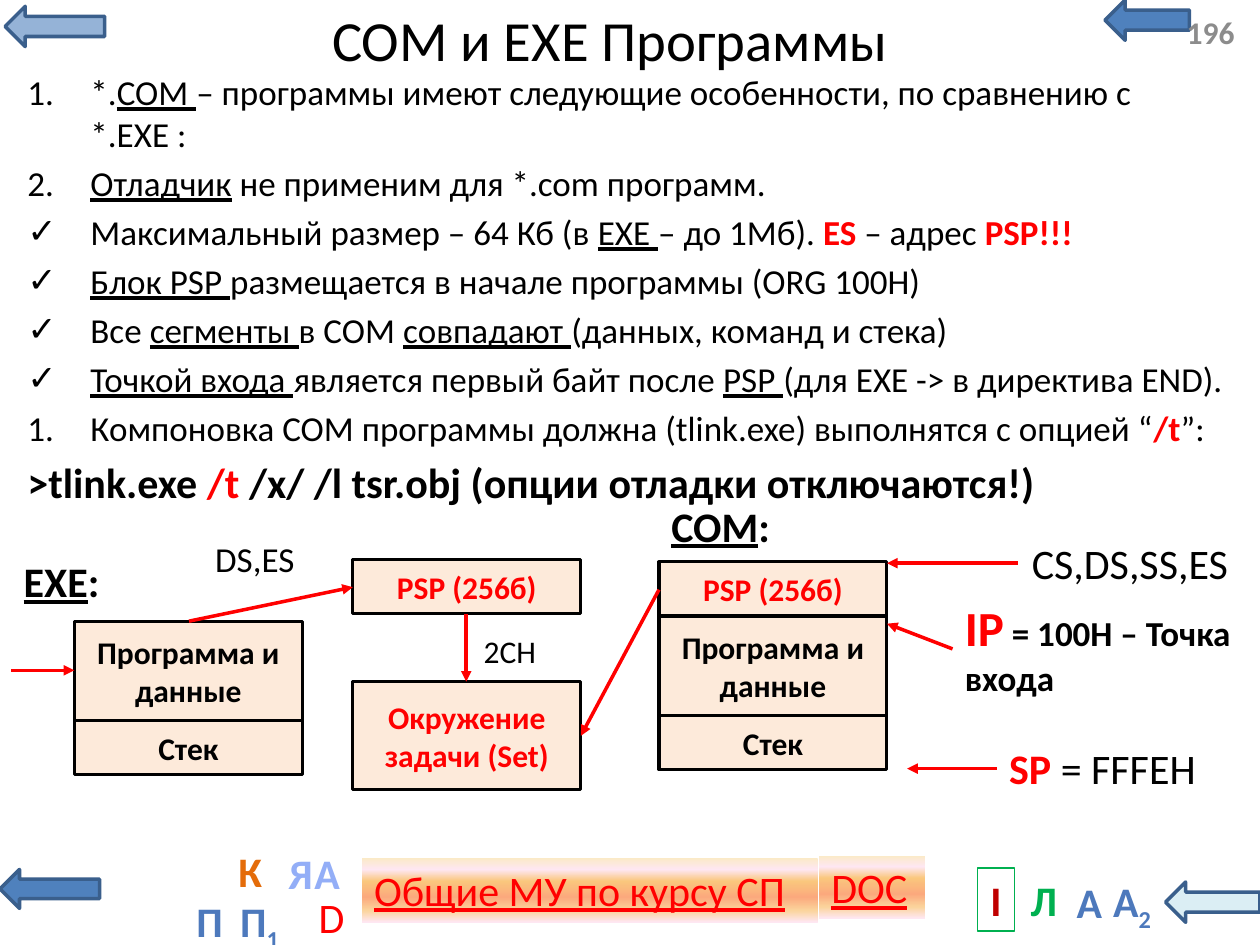
from lxml.etree import SubElement
from pptx import Presentation
from pptx.dml.color import RGBColor
from pptx.enum.shapes import MSO_CONNECTOR, MSO_SHAPE
from pptx.enum.text import MSO_ANCHOR, MSO_AUTO_SIZE, PP_ALIGN
from pptx.oxml.ns import qn
from pptx.util import Inches, Pt

BLACK, RED, PEACH, BLUE, GREEN = "000000", "FF0000", "FDEADA", "4F81BD", "00B050"
SUNRISE = [(0, "FBEAC7"), (18, "FEE7F2"), (36, "FAC77D"), (61, "FBA97D"), (82, "FBD49C"), (100, "FEE7F2")]
STEEL = [(0, "7494C9"), (49, "4D79BC"), (50, "346AAA"), (92, "325F94"), (100, "315D91")]
COLUMNS, ROWS = 100, 75


def color(value):
    return RGBColor.from_string(value)


def add(parent, tag, **attributes):
    return SubElement(parent, qn(f"a:{tag}"), {name: str(value) for name, value in attributes.items()})


def paint(fill, owner, value):
    if value is None:
        fill.background()
    elif isinstance(value, str):
        fill.solid()
        fill.fore_color.rgb = color(value)
    else:
        fill.gradient()
        fill.gradient_angle = 270
        stops = owner.find(f".//{qn('a:gsLst')}")
        for stop in list(stops):
            stops.remove(stop)
        for position, shade in value:
            add(add(stops, "gs", pos=position * 1000), "srgbClr", val=shade)


class SlideBuilder:
    font = "Calibri"

    def __init__(self, deck):
        self.deck = deck
        self.page = deck.slides.add_slide(deck.slide_layouts[5])

    def x(self, columns):
        return round(self.deck.slide_width * columns / COLUMNS)

    def y(self, rows):
        return round(self.deck.slide_height * rows / ROWS)

    def place(self, area):
        left, top, width, height = area
        return self.x(left), self.y(top), self.x(width), self.y(height)

    def add_spans(self, para, spans, size, tint=BLACK):
        for text, marks, *own_size in spans:
            span = para.add_run()
            span.text = text
            span.font.name = self.font
            span.font.size = Pt(own_size[0] if own_size else size)
            span.font.bold = "b" in marks
            span.font.underline = "u" in marks
            properties = span._r.get_or_add_rPr()
            paint(span.font.fill, properties, RED if "r" in marks else tint)
            if "s" in marks:
                properties.set("baseline", "-25000")

    def fill_frame(self, box, spans, size, tint=BLACK, align=PP_ALIGN.LEFT,
                   anchor=MSO_ANCHOR.TOP, wrap=True, grow=False):
        frame = box.text_frame
        frame.word_wrap = wrap
        frame.vertical_anchor = anchor
        frame.auto_size = MSO_AUTO_SIZE.SHAPE_TO_FIT_TEXT if grow else MSO_AUTO_SIZE.NONE
        para = frame.paragraphs[0]
        para.alignment = align
        self.add_spans(para, spans, size, tint)
        return box

    def title(self, area, text, size):
        box = self.page.shapes.title
        box.left, box.top, box.width, box.height = self.place(area)
        self.fill_frame(box, [(text, "")], size, align=PP_ALIGN.CENTER, anchor=MSO_ANCHOR.MIDDLE)

    def label(self, area, spans, size, grow=True, **style):
        box = self.page.shapes.add_textbox(*self.place(area))
        return self.fill_frame(box, spans, size, grow=grow, **style)

    def shape(self, kind, area, fill=None, line=None, weight=1.75):
        box = self.page.shapes.add_shape(kind, *self.place(area))
        box.shadow.inherit = False
        paint(box.fill, box._element.spPr, fill)
        if line:
            box.line.color.rgb = color(line)
            box.line.width = Pt(weight)
        else:
            box.line.fill.background()
        return box

    def arrow_button(self, area, fill):
        self.shape(MSO_SHAPE.LEFT_ARROW, area, fill, "3A5F8C", 2)

    def framed_label(self, area, spans, fill=None, line=None, **style):
        box = self.shape(MSO_SHAPE.RECTANGLE, area, fill, line, 0.75)
        return self.fill_frame(box, spans, 24, grow=True, **style)

    def stack(self, left, top, blocks):
        for text, marks, height in blocks:
            box = self.shape(MSO_SHAPE.RECTANGLE, (left, top, 18.1, height), PEACH, BLACK)
            self.fill_frame(box, [(text, marks)], 18, align=PP_ALIGN.CENTER, anchor=MSO_ANCHOR.MIDDLE)
            top += height

    def pointer(self, tip, tail):
        connector = self.page.shapes.add_connector(
            MSO_CONNECTOR.STRAIGHT, self.x(tip[0]), self.y(tip[1]), self.x(tail[0]), self.y(tail[1]))
        connector.line.color.rgb = color(RED)
        connector.line.width = Pt(2)
        properties = connector._element.spPr
        add(properties.find(qn("a:ln")), "headEnd", type="triangle")
        add(properties, "effectLst")

    def outline(self, box, tint, weight, alpha=None):
        properties = box.text_frame.paragraphs[0].runs[0]._r.get_or_add_rPr()
        line = add(properties, "ln", w=round(Pt(weight)))
        add(add(line, "solidFill"), "srgbClr", val=tint)
        properties.insert(0, line)
        if alpha:
            add(properties.find(f"{qn('a:solidFill')}/{qn('a:srgbClr')}"), "alpha", val=alpha * 1000)
            properties.set("spc", "100")

    def features(self, area, items):
        frame = self.page.shapes.add_textbox(*self.place(area)).text_frame
        frame.word_wrap = True
        for index, (bullet, size, spans) in enumerate(items):
            para = frame.add_paragraph() if index else frame.paragraphs[0]
            if index:
                para.space_before = Pt(size * 0.2)
            properties = para._p.get_or_add_pPr()
            if bullet:
                properties.set("marL", str(Inches(0.5)))
                properties.set("indent", str(-Inches(0.5)))
            if bullet == "1.":
                add(properties, "buFont", typeface="+mj-lt")
                add(properties, "buAutoNum", type="arabicPeriod")
            elif bullet:
                add(properties, "buChar", char=bullet)
            self.add_spans(para, spans, size)


FEATURES = [
    ("1.", 20, [("*.", ""), ("COM ", "u"),
                ("– программы имеют следующие особенности, по сравнению с *.EXE :", "")]),
    ("1.", 20, [("Отладчик", "u"), (" не применим для *.com программ.", "")]),
    ("✓", 20, [("Максимальный размер – 64 Кб (в ", ""), ("EXE ", "u"), ("– до 1Мб). ", ""),
               ("ES", "br"), (" – адрес ", ""), ("PSP!!!", "br")]),
    ("✓", 20, [("Блок PSP ", "u"), ("размещается в начале программы (ORG 100H)", "")]),
    ("✓", 20, [("Все ", ""), ("сегменты ", "u"), ("в СОМ ", ""), ("совпадают ", "u"),
               ("(данных, команд и стека)", "")]),
    ("✓", 20, [("Точкой входа ", "u"), ("является первый байт после ", ""), ("PSP ", "u"),
               ("(для EXE -> в директива END).", "")]),
    ("1.", 20, [("Компоновка COM программы должна (tlink.exe) выполнятся с опцией “", ""),
                ("/t", "br"), ("”:", "")]),
    (None, 24, [(">tlink.exe ", "b"), ("/t ", "br"),
                ("/x/ /l tsr.obj (опции отладки отключаются!)", "b")]),
]


def add_navigation(slide):
    for area, fill in [((87.7, 0, 6.7, 3.2), BLUE), ((0, 69, 7.9, 3.1), BLUE),
                       ((0.4, 0.5, 7.9, 3.2), "95B3D7"), ((92.5, 70, 7.5, 3.2), "DBEEF4")]:
        slide.arrow_button(area, fill)
    slide.framed_label((28.7, 68.1, 36.2, 5.1), [("Общие МУ по курсу СП", "ur")], SUNRISE)
    slide.framed_label((65, 67.9, 8.4, 5), [("DOC", "ur")], SUNRISE)
    centered = {"align": PP_ALIGN.CENTER}
    letter = slide.framed_label((24.3, 70.3, 3.9, 5), [("D", "r")], line="FFFFFF", **centered)
    slide.outline(letter, BLUE, 0.8)
    slide.framed_label((77.6, 68.9, 2.9, 5), [("I", "b")], line=GREEN, tint="C00000", wrap=False, **centered)
    for area, spans, wrap in [((84.4, 69.1, 4.1, 5), [("А", "b")], False),
                              ((87.2, 69, 5.3, 5), [("А", "b"), ("2", "bs")], True),
                              ((14.6, 70.6, 3.3, 5), [("П", "b")], True),
                              ((17.9, 70.6, 5.4, 5), [("П", "b"), ("1", "bs")], True)]:
        slide.label(area, spans, 24, tint=STEEL, wrap=wrap, **centered)
    for area, text, tint, edge, weight, alpha in [
            ((17.9, 66.6, 3.9, 5), "К", "E46C0A", "FEFEFE", 1.5, None),
            ((80.8, 68.9, 4.1, 5), "Л", GREEN, "FEFEFE", 1.5, None),
            ((21.8, 66.8, 6.3, 5), "ЯА", "0D7BFF", "93AEF7", 1.42, 6)]:
        letter = slide.label(area, [(text, "b")], 24, tint=tint, wrap=False, **centered)
        slide.outline(letter, edge, weight, alpha)


def add_memory_maps(slide):
    psp, program, stack = ("PSP (256б)", "br", 4.3), ("Программа и данные", "b", 7.9), ("Стек", "b", 4.3)
    slide.stack(52.3, 44.6, [psp, program, stack])
    slide.stack(28, 44.4, [psp])
    slide.stack(5.9, 49.3, [program, stack])
    slide.stack(28, 54.1, [("Окружение задачи (Set)", "br", 8.6)])
    for area, spans, size in [
            ((75.6, 46.9, 24.4, 9.1), [("IP", "br", 28), (" = 100H – Точка входа", "b")], 20),
            ((79.1, 58.4, 18.9, 5), [("SP", "br"), (" = FFFEH", "")], 24),
            ((80.9, 42.2, 17.9, 5), [("CS,DS,SS,ES", "")], 24),
            ((52.3, 39.2, 12.6, 5), [("COM", "bu"), (":", "b")], 24),
            ((0.9, 43.6, 12.6, 5), [("EXE", "bu"), (":", "b")], 24),
            ((16.1, 42.2, 11.7, 4.4), [("DS,ES", "")], 20)]:
        slide.label(area, spans, size)
    slide.label((37.4, 49.7, 6.2, 4), [("2CH", "")], 18, wrap=False)
    for tip, tail in [((70.4, 49.5), (75.6, 51.5)), ((72, 61), (79.1, 61)),
                      ((70.4, 44.7), (80.8, 44.7)), ((28, 46.6), (15, 49.3)),
                      ((37, 54.1), (37, 48.7)), ((46.1, 58.4), (52.3, 46.8)),
                      ((5.9, 53.2), (0.9, 53.2))]:
        slide.pointer(tip, tail)


def main():
    deck = Presentation()
    deck.slide_width, deck.slide_height = Inches(10), Inches(7.5)
    slide = SlideBuilder(deck)
    add_navigation(slide)
    slide.title((24, 0.2, 48.8, 5.8), "COM и EXE Программы", 32.4)
    slide.label((93.2, 0.5, 6.4, 4), [("196", "b")], 18, grow=False, tint="8C8C8C", anchor=MSO_ANCHOR.MIDDLE)
    slide.features((1.2, 5.1, 97.6, 37), FEATURES)
    add_memory_maps(slide)
    deck.save("out.pptx")


if __name__ == "__main__":
    main()
